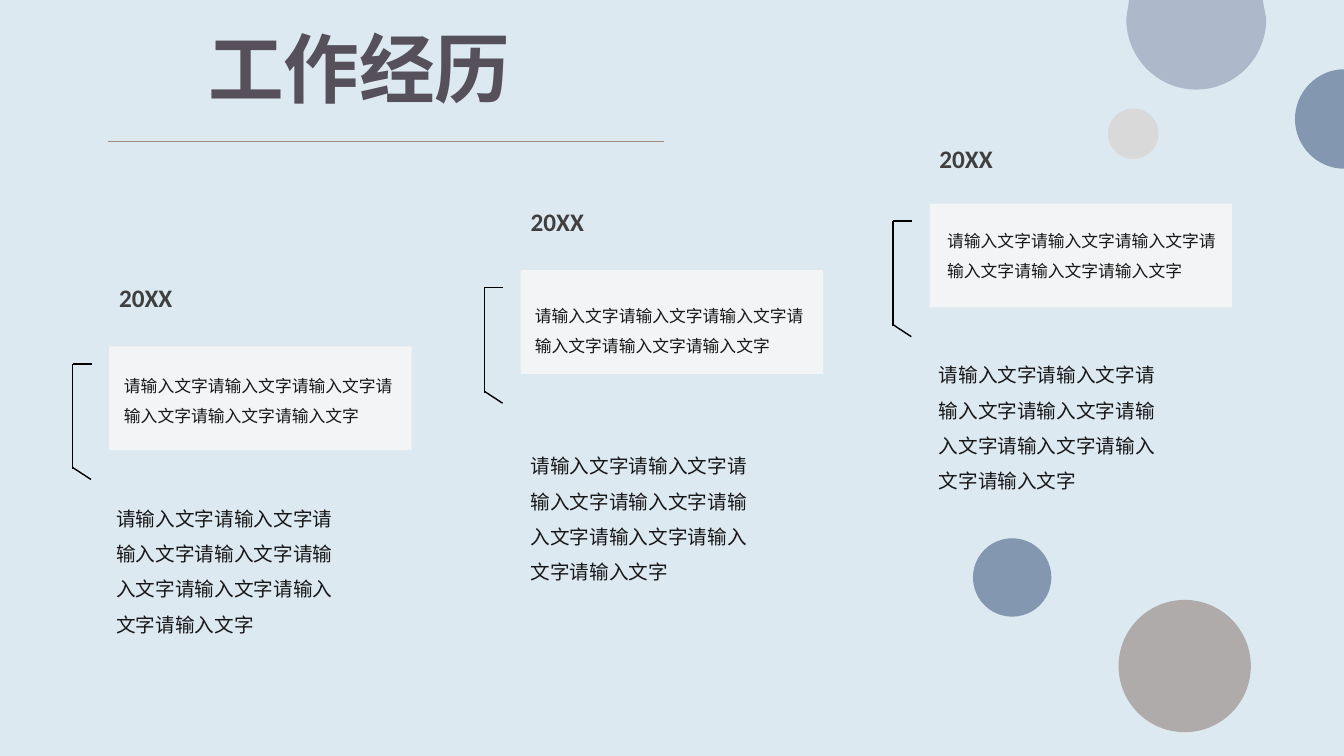
from dataclasses import dataclass

from lxml.etree import SubElement
from pptx import Presentation
from pptx.dml.color import RGBColor
from pptx.enum.shapes import MSO_CONNECTOR, MSO_SHAPE
from pptx.enum.text import MSO_ANCHOR, MSO_AUTO_SIZE, PP_ALIGN
from pptx.oxml.ns import qn
from pptx.util import Pt

PX = 6350  # 144 px to the inch
WIDTH, HEIGHT = 1920, 1080
PROMPT = "请输入文字"
ARC = 0.55  # control point distance of a quarter circle, in radii

TITLE = {"size": Pt(54), "bold": True, "name": "Calibri"}
DATE = {"size": Pt(18), "bold": True, "name": "Calibri"}
BRIEF = {"size": Pt(12), "name": "Calibri"}
DETAIL = {"size": Pt(14), "name": "Calibri"}


@dataclass(frozen=True)
class Job:
    x: int
    y: int
    date_y: int
    brief_x: int
    brief_y: int
    brief_height: int
    detail_x: int
    detail_y: int


@dataclass(frozen=True)
class Circle:
    x: int
    y: int
    size: int
    color: str


@dataclass(frozen=True)
class Cap:
    """A cut circle: its first two sides are quarter arcs."""
    points: list[tuple[int, int]]
    color: str
    rotation: int


JOBS = [
    Job(156, 495, 396, 163, 515, 145, 152, 700),
    Job(744, 386, 288, 750, 415, 96, 744, 625),
    Job(1328, 291, 198, 1339, 308, 96, 1327, 495),
]
CIRCLES = [
    Circle(1390, 769, 112, "8497B0"),
    Circle(1598, 857, 189, "AFABAB"),
    Circle(1583, 155, 72, "D9D9D9"),
]
CAPS = [
    Cap([(1609, 27), (1709, 128), (1809, 27), (1804, 0), (1613, 0)], "ADB9CA", 0),
    Cap([(1814, 205), (1885, 135), (1956, 205)], "8497B0", 270),
]
BRACKET = [((0, 0), (27, 0)), ((0, 0), (0, 150)), ((0, 148), (26, 165))]


def rgb(color: str) -> RGBColor:
    return RGBColor.from_string(color)


def px(*lengths: int) -> list[int]:
    return [length * PX for length in lengths]


def paint(shape, color: str) -> None:
    shape.shadow.inherit = False
    shape.fill.solid()
    shape.fill.fore_color.rgb = rgb(color)
    shape.line.fill.background()


def add_line(shapes, start: tuple, end: tuple, color: str, width: float) -> None:
    line = shapes.add_connector(MSO_CONNECTOR.STRAIGHT, *px(*start, *end))
    line.line.color.rgb = rgb(color)
    line.line.width = Pt(width)
    SubElement(line._element.spPr, qn("a:effectLst"))


def write(shape, text: str, font: dict, color: str, wrap: bool,
          spacing: float = 1.0) -> None:
    tf = shape.text_frame
    tf.word_wrap = wrap
    tf.auto_size = MSO_AUTO_SIZE.SHAPE_TO_FIT_TEXT
    tf.vertical_anchor = MSO_ANCHOR.TOP
    p = tf.paragraphs[0]
    p.alignment = PP_ALIGN.LEFT
    p.line_spacing = spacing
    r = p.add_run()
    r.text = text
    for key, value in font.items():
        setattr(r.font, key, value)
    r.font.color.rgb = rgb(color)


def add_job(s, job: Job) -> None:
    card = s.shapes.add_shape(MSO_SHAPE.RECTANGLE, *px(job.x, job.y, 432, 148))
    paint(card, "F2F4F5")

    bracket = s.shapes.add_group_shape()
    left, top = job.x - 52, job.y + 25
    for (x1, y1), (x2, y2) in BRACKET:
        add_line(bracket.shapes, (left + x1, top + y1), (left + x2, top + y2),
                 "000000", 1)

    date = s.shapes.add_textbox(*px(job.x, job.date_y, 105, 58))
    write(date, "20XX", DATE, "3F3F3F", False)
    brief = s.shapes.add_textbox(*px(job.brief_x, job.brief_y, 415, job.brief_height))
    write(brief, PROMPT * 6, BRIEF, "181717", True, 1.5)
    detail = s.shapes.add_textbox(*px(job.detail_x, job.detail_y, 341, 217))
    write(detail, PROMPT * 8, DETAIL, "181717", True, 1.5)


def add_circle(s, circle: Circle) -> None:
    box = px(circle.x, circle.y, circle.size, circle.size)
    paint(s.shapes.add_shape(MSO_SHAPE.OVAL, *box), circle.color)


def bend(side, start: tuple, end: tuple, upright: bool) -> None:
    """Turn a straight side into a quarter arc, upright at its start or its end."""
    (x0, y0), (x1, y1) = start, end
    dx, dy = ARC * (x1 - x0), ARC * (y1 - y0)
    if upright:
        controls = [(x0, y0 + dy), (x1 - dx, y1)]
    else:
        controls = [(x0 + dx, y0), (x1, y1 - dy)]
    curve = side.makeelement(qn("a:cubicBezTo"))
    for x, y in [*controls, end]:
        SubElement(curve, qn("a:pt"), x=str(round(x)), y=str(round(y)))
    side.getparent().replace(side, curve)


def add_cap(s, cap: Cap) -> None:
    outline = s.shapes.build_freeform(*cap.points[0], scale=PX)
    outline.add_line_segments(cap.points[1:])
    shape = outline.convert_to_shape()
    left = min(x for x, _ in cap.points)
    top = min(y for _, y in cap.points)
    local = [(x - left, y - top) for x, y in cap.points]
    sides = list(shape._element.iter(qn("a:lnTo")))
    for i in range(2):
        bend(sides[i], local[i], local[i + 1], upright=i == 0)
    shape.rotation = cap.rotation
    paint(shape, cap.color)


def main() -> None:
    prs = Presentation()
    prs.slide_width, prs.slide_height = px(WIDTH, HEIGHT)
    s = prs.slides.add_slide(prs.slide_layouts[5])
    s.background.fill.solid()
    s.background.fill.fore_color.rgb = rgb("DDE9F1")

    title = s.shapes.title
    title.left, title.top, title.width, title.height = px(283, 24, 468, 145)
    write(title, "工作经历", TITLE, "56505A", False)
    add_line(s.shapes, (154, 202), (948, 202), "A08D7E", 0.5)

    for job in JOBS:
        add_job(s, job)
    for circle in CIRCLES:
        add_circle(s, circle)
    for cap in CAPS:
        add_cap(s, cap)

    prs.save("out.pptx")


if __name__ == "__main__":
    main()
